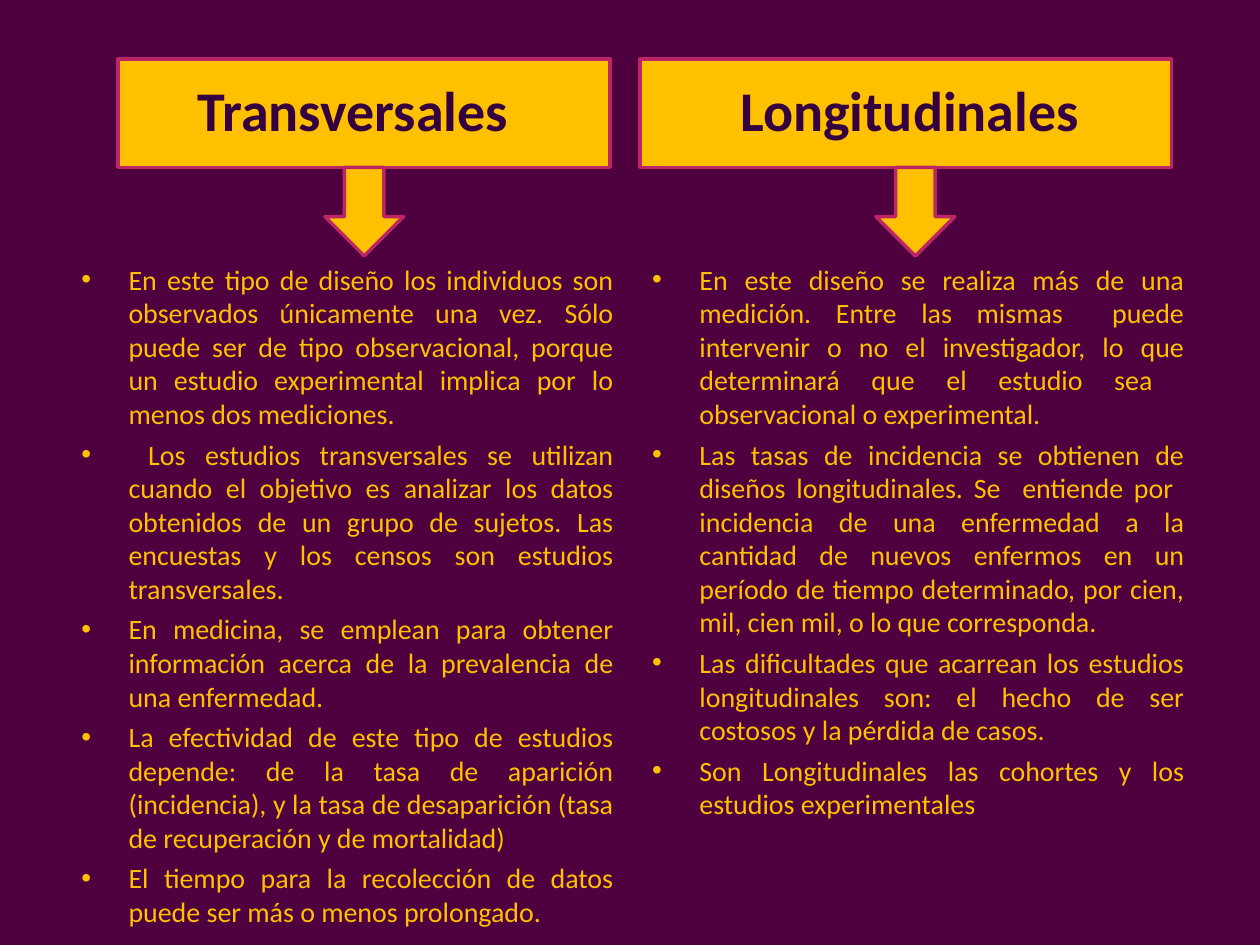
from dataclasses import dataclass

from lxml.etree import SubElement
from pptx import Presentation
from pptx.dml.color import RGBColor
from pptx.enum.shapes import MSO_SHAPE
from pptx.enum.text import MSO_ANCHOR, PP_ALIGN
from pptx.oxml.ns import qn
from pptx.slide import Slide
from pptx.util import Pt


@dataclass(frozen=True)
class Theme:
    background: str = "4E003F"
    gold: str = "FFC000"
    outline: str = "BC2665"
    heading: str = "34003F"
    font: str = "Calibri"
    heading_size: float = 32
    body_size: float = 16
    line_width: float = 2


@dataclass(frozen=True)
class Box:
    left: float
    top: float
    width: float
    height: float

    def lengths(self) -> tuple:
        return Pt(self.left), Pt(self.top), Pt(self.width), Pt(self.height)


@dataclass(frozen=True)
class Column:
    title: str
    banner: Box
    heading: Box
    arrow: Box
    body: Box
    items: tuple


THEME = Theme()
BULLET_INDENT = 27
BULLET_GAP = 4

COLUMNS = (
    Column(
        "Transversales",
        banner=Box(67.5, 33.75, 281.25, 61.9),
        heading=Box(105.75, 39.4, 195.2, 46),
        arrow=Box(185.6, 95.65, 45, 50.6),
        body=Box(39.4, 146.25, 318.4, 393.75),
        items=(
            "En este tipo de diseño los individuos son observados únicamente una vez. "
            "Sólo puede ser de tipo observacional, porque un estudio experimental "
            "implica por lo menos dos mediciones.",
            " Los estudios transversales se utilizan cuando el objetivo es analizar "
            "los datos obtenidos de un grupo de sujetos. Las encuestas y los censos "
            "son estudios transversales.",
            "En medicina, se emplean para obtener información acerca de la "
            "prevalencia de una enfermedad.",
            "La efectividad de este tipo de estudios depende: de la tasa de aparición "
            "(incidencia), y la tasa de desaparición (tasa de recuperación y de "
            "mortalidad)",
            "El tiempo para la recolección de datos puede ser más o menos prolongado.",
        ),
    ),
    Column(
        "Longitudinales",
        banner=Box(365.6, 33.75, 303.9, 61.9),
        heading=Box(416, 39.4, 225.4, 46),
        arrow=Box(500.6, 95.65, 45, 50.6),
        body=Box(365.6, 146.25, 318.4, 393.75),
        items=(
            "En este diseño se realiza más de una medición. Entre las mismas  puede "
            "intervenir o no el investigador, lo que determinará que el estudio sea  "
            "observacional o experimental.",
            "Las tasas de incidencia se obtienen de diseños longitudinales. Se  "
            "entiende por  incidencia de una enfermedad a la cantidad de nuevos "
            "enfermos en un período de tiempo determinado, por cien, mil, cien mil, "
            "o lo que corresponda.",
            "Las dificultades que acarrean los estudios longitudinales son: el hecho "
            "de ser costosos y la pérdida de casos.",
            "Son Longitudinales las cohortes y los estudios experimentales",
        ),
    ),
)


def apply_format(target, values: dict) -> None:
    for name, value in values.items():
        setattr(target, name, value)


def add_gold_shape(slide: Slide, kind: MSO_SHAPE, box: Box) -> None:
    shape = slide.shapes.add_shape(kind, *box.lengths())
    shape.shadow.inherit = False
    shape.fill.solid()
    shape.fill.fore_color.rgb = RGBColor.from_string(THEME.gold)
    shape.line.color.rgb = RGBColor.from_string(THEME.outline)
    shape.line.width = Pt(THEME.line_width)


def add_bullet(paragraph) -> None:
    properties = paragraph._p.get_or_add_pPr()
    properties.set("marL", str(Pt(BULLET_INDENT)))
    properties.set("indent", str(-Pt(BULLET_INDENT)))
    color = SubElement(properties, qn("a:buClr"))
    SubElement(color, qn("a:srgbClr"), val=THEME.gold)
    SubElement(properties, qn("a:buFont"), typeface="Arial")
    SubElement(properties, qn("a:buChar"), char="•")


def add_text(slide: Slide, box: Box, lines: tuple, size: float, color: str,
             bold: bool = False, bulleted: bool = False) -> None:
    frame = slide.shapes.add_textbox(*box.lengths()).text_frame
    apply_format(frame, {"word_wrap": True, "vertical_anchor": MSO_ANCHOR.TOP})
    for index, line in enumerate(lines):
        paragraph = frame.add_paragraph() if index else frame.paragraphs[0]
        paragraph.text = line
        if bulleted:
            add_bullet(paragraph)
        apply_format(paragraph, {
            "alignment": PP_ALIGN.JUSTIFY if bulleted else PP_ALIGN.LEFT,
            "space_before": Pt(BULLET_GAP if index else 0),
        })
        apply_format(paragraph.font,
                     {"name": THEME.font, "size": Pt(size), "bold": bold})
        paragraph.font.color.rgb = RGBColor.from_string(color)


def add_column(slide: Slide, column: Column) -> None:
    # Bulleted description
    add_text(slide, column.body, column.items, THEME.body_size, THEME.gold,
             bulleted=True)
    # Banner with its heading
    add_gold_shape(slide, MSO_SHAPE.RECTANGLE, column.banner)
    add_text(slide, column.heading, (column.title,), THEME.heading_size,
             THEME.heading, bold=True)
    # Arrow from banner to description
    add_gold_shape(slide, MSO_SHAPE.DOWN_ARROW, column.arrow)


def main() -> None:
    presentation = Presentation()
    apply_format(presentation, {"slide_width": Pt(720), "slide_height": Pt(540)})
    slide = presentation.slides.add_slide(presentation.slide_layouts[6])

    # Background
    fill = slide.background.fill
    fill.solid()
    fill.fore_color.rgb = RGBColor.from_string(THEME.background)

    # The two study designs
    for column in COLUMNS:
        add_column(slide, column)
    presentation.save("out.pptx")


if __name__ == "__main__":
    main()
